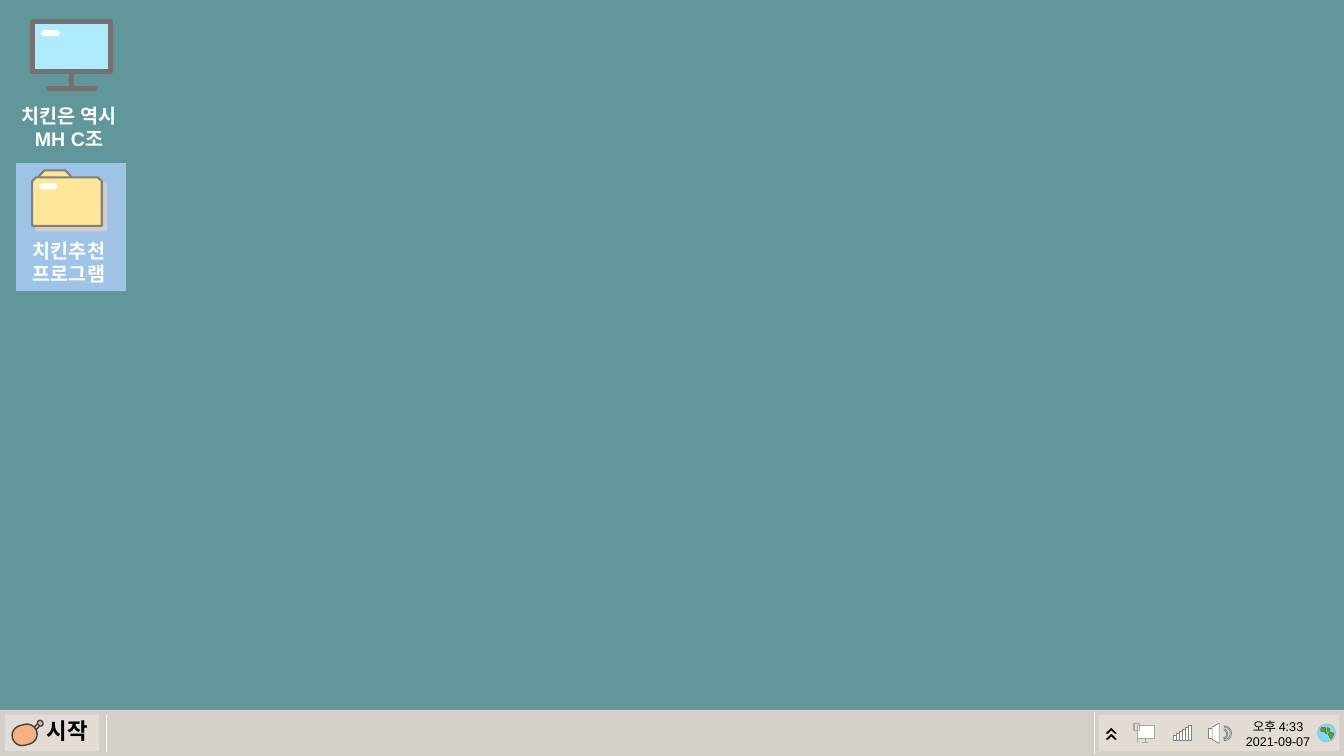
from dataclasses import dataclass

from pptx import Presentation
from pptx.dml.color import RGBColor
from pptx.enum.shapes import MSO_CONNECTOR, MSO_SHAPE as Preset
from pptx.enum.text import MSO_AUTO_SIZE as AutoSize, PP_ALIGN as Align
from pptx.oxml import parse_xml
from pptx.oxml.ns import nsdecls, qn
from pptx.util import Pt


@dataclass(frozen=True)
class Theme:
    font: str = "Arial"
    clock_size: float = 9
    label_size: float = 14
    start_size: float = 16
    desktop: str = "61979A"
    selection: str = "9DC3E6"
    taskbar: str = "D4D0C7"
    panel: str = "E2DCD4"
    groove: str = "D1CBC3"
    white: str = "FFFFFF"
    black: str = "000000"
    icon_line: str = "808080"
    network_line: str = "A6A6A6"
    monitor: str = "767171"
    screen: str = "AFEAFF"
    folder: str = "FFE699"
    folder_shadow: str = "D0CECE"
    meat: str = "F4B183"
    bone: str = "D9D9D9"
    outline: str = "404040"
    sea: str = "79DCFF"
    land: tuple = ((0, "649A3F"), (42, "649A3F"), (62, "548235"), (100, "E2F0D9"))


def color(value):
    return RGBColor.from_string(value)


class Desktop:
    def __init__(self, slide, theme):
        self.slide = slide
        self.theme = theme
        self.shapes = slide.shapes
        background = slide.background.fill
        background.solid()
        background.fore_color.rgb = color(theme.desktop)

    def start_icon(self):
        """Collect the following elements in a new group."""
        self.shapes = self.slide.shapes.add_group_shape().shapes

    def end_icon(self):
        self.shapes = self.slide.shapes

    def shape(self, preset, box, fill=None, line=None, rotation=0, adjust=()):
        """Draw a preset; line is a (colour, width) pair, a tuple fill is a radial gradient."""
        shape = self.shapes.add_shape(preset, *map(Pt, box))
        shape.shadow.inherit = False
        shape.rotation = rotation
        for index, value in enumerate(adjust):
            shape.adjustments[index] = value
        if fill is None:
            shape.fill.background()
        elif isinstance(fill, tuple):
            self.radial_fill(shape, fill)
        else:
            shape.fill.solid()
            shape.fill.fore_color.rgb = color(fill)
        if line:
            shape.line.color.rgb = color(line[0])
            shape.line.width = Pt(line[1])
        else:
            shape.line.fill.background()

    def radial_fill(self, shape, stops):
        shape.fill.gradient()
        linear = shape._element.spPr.find(qn("a:gradFill"))
        stop_xml = "".join(
            f'<a:gs pos="{position * 1000}"><a:srgbClr val="{value}"/></a:gs>'
            for position, value in stops)
        linear.getparent().replace(linear, parse_xml(
            f'<a:gradFill {nsdecls("a")}><a:gsLst>{stop_xml}</a:gsLst><a:path path="circle">'
            '<a:fillToRect l="50000" t="50000" r="50000" b="50000"/></a:path></a:gradFill>'))

    def line(self, ends, value, width, cap="flat"):
        connector = self.shapes.add_connector(MSO_CONNECTOR.STRAIGHT, *map(Pt, ends))
        connector.line.color.rgb = color(value)
        connector.line.width = Pt(width)
        properties = connector._element.spPr
        properties.find(qn("a:ln")).set("cap", cap)
        properties.append(parse_xml(f'<a:effectLst {nsdecls("a")}/>'))

    def text(self, box, lines, size, value, bold=False):
        frame = self.shapes.add_textbox(*map(Pt, box)).text_frame
        frame.word_wrap = True
        frame.auto_size = AutoSize.SHAPE_TO_FIT_TEXT
        font_format = {"name": self.theme.font, "size": Pt(size), "bold": bold}
        for index, line in enumerate(lines):
            paragraph = frame.add_paragraph() if index else frame.paragraphs[0]
            paragraph.alignment = Align.CENTER
            run = paragraph.add_run()
            run.text = line
            for name, setting in font_format.items():
                setattr(run.font, name, setting)
            run.font.color.rgb = color(value)

    def highlight(self, left, top):
        self.shape(Preset.ROUNDED_RECTANGLE, (left, top, 13, 4.3), self.theme.white, adjust=[0.5])

    def icon_label(self, top, lines):
        self.text((0, top, 98.6, 41), lines, self.theme.label_size, self.theme.white, bold=True)

    def separator(self, left, top, bottom):
        self.start_icon()
        for offset, value in ((0.7, self.theme.white), (0, self.theme.groove)):
            self.line((left + offset, top, left + offset, bottom), value, 1.5)
        self.end_icon()


def draw_tray(desktop):
    theme = desktop.theme
    gray = (theme.icon_line, 0.5)
    desktop.shape(Preset.RECTANGLE, (784.8, 510.5, 172, 26), theme.panel)
    desktop.text((879.8, 509.8, 66.2, 28.8), ["오후 4:33", "2021-09-07"],
                 theme.clock_size, theme.black)

    desktop.start_icon()  # signal bars
    for bar in range(6):
        height = 3.6 + 1.44 * bar
        desktop.shape(Preset.RECTANGLE, (838 + 2.16 * bar, 529.2 - height, 2.16, height),
                      theme.white, gray)

    desktop.start_icon()  # speaker
    for preset, box, rotation, adjust in (
            (Preset.FLOWCHART_PROCESS, (863.3, 520.6, 3.6, 6.5), 0, ()),
            (Preset.FLOWCHART_MANUAL_OPERATION, (861.1, 521.3, 14.4, 5), 90, ()),
            (Preset.BLOCK_ARC, (869, 518.4, 10.8, 10.8), 90, (108, 0, 0.09)),
            (Preset.BLOCK_ARC, (869.8, 520.6, 7.2, 7.2), 90, (117.93, 207.93, 0.12))):
        desktop.shape(preset, box, theme.white, gray, rotation, adjust)

    desktop.start_icon()  # chevrons
    for top in (521.3, 525.6):
        desktop.shape(Preset.HALF_FRAME, (791.3, top, 5, 5), theme.black,
                      (theme.black, 0.5), 45, (0.15, 0.15))

    desktop.start_icon()  # network
    pale = (theme.network_line, 0.75)
    desktop.shape(Preset.FLOWCHART_PROCESS, (812.2, 518.4, 12.2, 9.4), theme.white, pale)
    for ends in ((818, 527.8, 818, 530), (815.8, 530.6, 820.2, 530.6),
                 (812.2, 530.6, 812.2, 523.4)):
        desktop.line(ends, *pale)
    desktop.shape(Preset.FLOWCHART_PROCESS, (810, 517, 3.6, 5), None, pale)

    desktop.start_icon()  # globe
    desktop.shape(Preset.OVAL, (941, 517, 13, 13), theme.sea, (theme.network_line, 0.25))
    for preset, box, rotation in (
            (Preset.OVAL, (946.1, 519.8, 4.3, 4.3), 0),
            (Preset.RECTANGLE, (943.2, 519.8, 4.3, 2.9), 0),
            (Preset.ISOSCELES_TRIANGLE, (948.2, 523.4, 5, 4.3), 180)):
        desktop.shape(preset, box, theme.land, rotation=rotation)
    desktop.end_icon()


def draw_start_button(desktop):
    theme = desktop.theme
    outline = (theme.outline, 1)
    desktop.start_icon()
    desktop.shape(Preset.RECTANGLE, (3.6, 510.5, 67, 26), theme.panel)
    desktop.text((20.9, 509, 54.7, 26.6), ["시작"], theme.start_size, theme.black, bold=True)
    desktop.shape(Preset.RECTANGLE, (25.2, 516.2, 2.2, 5.8), theme.bone, outline, 45)
    for box, rotation in (((26.6, 514.8, 4.3, 3.6), 45), ((8.6, 517.7, 18, 14.4), 345)):
        desktop.shape(Preset.ROUNDED_RECTANGLE, box, theme.meat, outline, rotation, [0.5])
    desktop.end_icon()


def draw_monitor(desktop):
    theme = desktop.theme
    desktop.start_icon()
    desktop.shape(Preset.FLOWCHART_PROCESS, (23.2, 15.3, 55.6, 36), theme.screen,
                  (theme.monitor, 3.75))
    desktop.line((51, 51.8, 51, 63.4), theme.monitor, 3.75)
    desktop.line((34.8, 63.4, 67.8, 63.4), theme.monitor, 3.75, cap="rnd")
    desktop.highlight(29.5, 21.6)
    desktop.end_icon()
    desktop.icon_label(70.6, ["치킨은 역시", "MH C조"])


def draw_folder(desktop):
    theme = desktop.theme
    desktop.start_icon()
    for offset, fill, line in ((3.2, theme.folder_shadow, theme.folder_shadow),
                               (0, theme.folder, theme.icon_line)):
        for box, snip in (((28, 121.7, 22.4, 11.5), 0.33), ((23, 126.7, 49.7, 34.6), 0.08)):
            left, top, width, height = box
            desktop.shape(Preset.SNIP_2_SAME_RECTANGLE,
                          (left + offset, top + offset, width, height),
                          fill, (line, 1.5), adjust=(snip, 0))
    desktop.highlight(28, 131)
    desktop.end_icon()
    desktop.icon_label(167, ["치킨추천", "프로그램"])


def main():
    presentation = Presentation()
    presentation.slide_width, presentation.slide_height = Pt(960), Pt(540)
    slide = presentation.slides.add_slide(presentation.slide_layouts[6])
    theme = Theme()
    desktop = Desktop(slide, theme)
    desktop.shape(Preset.RECTANGLE, (11.5, 116.6, 78.5, 91.4), theme.selection)
    desktop.shape(Preset.RECTANGLE, (0, 507, 960, 33), theme.taskbar)
    draw_tray(desktop)
    desktop.separator(75, 510.5, 537)
    desktop.separator(780.5, 508.3, 538.6)
    draw_monitor(desktop)
    draw_folder(desktop)
    draw_start_button(desktop)
    presentation.save("out.pptx")


if __name__ == "__main__":
    main()
